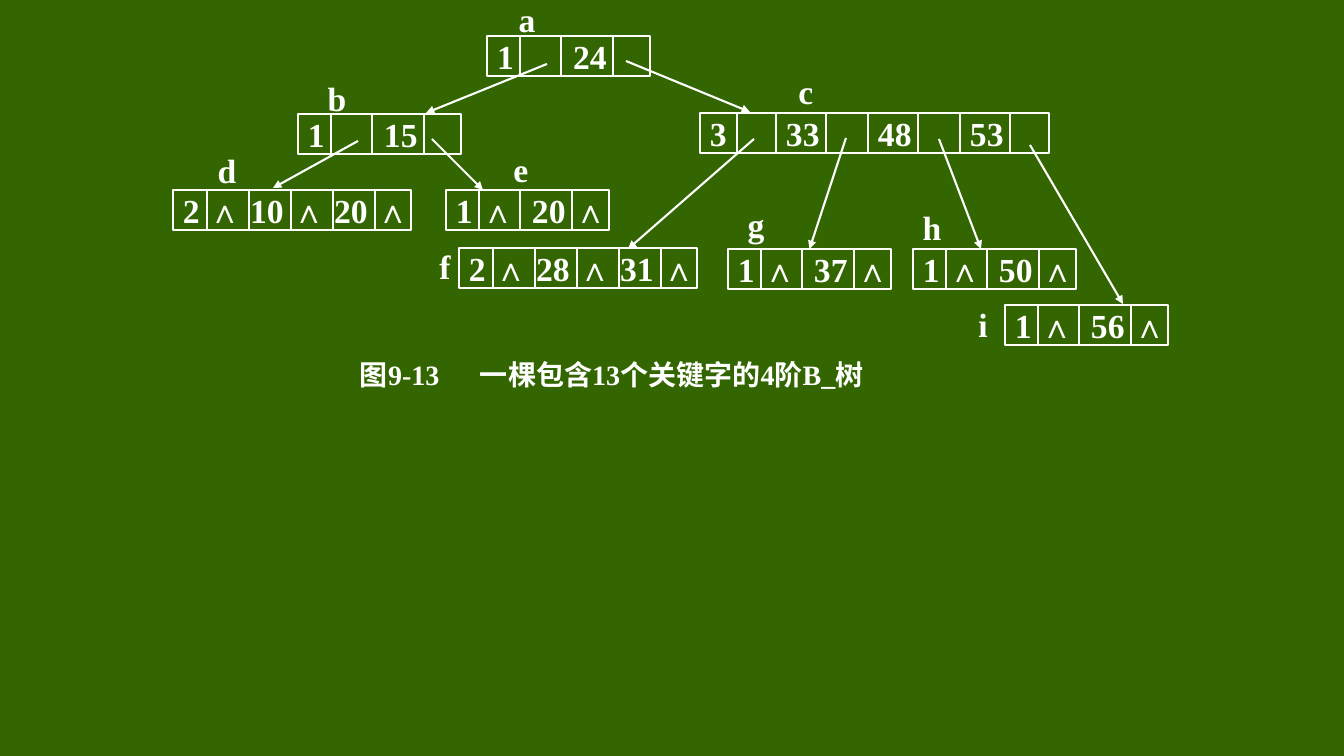
import dataclasses

import lxml.etree
import pptx
import pptx.dml.color
import pptx.enum.shapes
import pptx.enum.text
import pptx.oxml.ns
import pptx.util

EMU_PER_PX = 914400 / 100.8
ALIGN = pptx.enum.text.PP_ALIGN
MIDDLE = pptx.enum.text.MSO_ANCHOR.MIDDLE


@dataclasses.dataclass(frozen=True)
class Theme:
    background: str = "336600"
    ink: str = "FFFFFF"
    latin_font: str = "Times New Roman"
    chinese_font: str = "Noto Sans CJK SC"
    node_size: int = 24
    caption_size: int = 20
    line_width: float = 1.5


THEME = Theme()
NODE_HEIGHT = 40
LABEL_SIDE = 40
INSET = 10

# Node kinds: width, divider offsets and tab stops, in px from the node's left
# edge (dividers) or from the start of its text (tabs).
ONE_KEY = (163, (33, 74, 126), (76,))
TWO_KEYS = (238, tuple(range(34, 203, 42)), ())
THREE_KEYS = (349, (37, 76, 126, 168, 218, 260, 310), (76, 168, 260))

# Name: (left, top, kind, text, label left, label top)
NODES = {
    "a": (487, 36, ONE_KEY, "1\t24", 507, -1),
    "b": (298, 114, ONE_KEY, "1\t15", 317, 78),
    "c": (700, 113, THREE_KEYS, "3\t33\t48\t53", 786, 71),
    "d": (173, 190, TWO_KEYS, "2 ∧ 10 ∧ 20 ∧", 207, 150),
    "e": (446, 190, ONE_KEY, "1 ∧\t20 ∧", 501, 149),
    "f": (459, 248, TWO_KEYS, "2 ∧ 28 ∧ 31 ∧", 425, 246),
    "g": (728, 249, ONE_KEY, "1 ∧\t37 ∧", 736, 204),
    "h": (913, 249, ONE_KEY, "1 ∧\t50 ∧", 912, 207),
    "i": (1005, 305, ONE_KEY, "1 ∧\t56 ∧", 963, 304),
}
POINTERS = (
    ((547, 64), (426, 113)),
    ((626, 61), (750, 112)),
    ((358, 141), (273, 188)),
    ((432, 139), (483, 190)),
    ((754, 139), (628, 249)),
    ((939, 139), (981, 249)),
    ((1030, 145), (1123, 304)),
)
POINTER_TO_G = ((846, 138), (810, 249))


def px(value):
    return pptx.util.Emu(round(value * EMU_PER_PX))


def ink():
    return pptx.dml.color.RGBColor.from_string(THEME.ink)


def apply_format(target, values):
    for name, value in values.items():
        setattr(target, name, value)


def style_line(line):
    line.color.rgb = ink()
    line.width = pptx.util.Pt(THEME.line_width)


def write_text(shape, text, size, alignment=ALIGN.LEFT, inset=INSET, tabs=()):
    """Fill the shape with one line of text; tabs are px from the text's start."""
    apply_format(shape.text_frame, {
        "word_wrap": False if not inset else True,
        "vertical_anchor": MIDDLE,
        "margin_left": px(inset),
        "margin_right": 0,
        "margin_top": 0,
        "margin_bottom": 0,
    })
    paragraph = shape.text_frame.paragraphs[0]
    paragraph.alignment = alignment
    run = paragraph.add_run()
    run.text = text
    apply_format(run.font, {
        "name": THEME.latin_font,
        "size": pptx.util.Pt(size),
        "bold": True,
    })
    run.font.color.rgb = ink()
    if tabs:
        properties = paragraph._p.get_or_add_pPr()
        tab_list = lxml.etree.SubElement(properties, pptx.oxml.ns.qn("a:tabLst"))
        for position in tabs:
            lxml.etree.SubElement(tab_list, pptx.oxml.ns.qn("a:tab"),
                                  pos=str(px(position)), algn="l")
    return run


def add_line(slide, start, end):
    connector = slide.shapes.add_connector(
        pptx.enum.shapes.MSO_CONNECTOR.STRAIGHT,
        *(px(value) for value in (*start, *end)))
    style_line(connector.line)
    lxml.etree.SubElement(connector._element.spPr, pptx.oxml.ns.qn("a:effectLst"))
    return connector


def add_pointer(slide, start, end):
    connector = add_line(slide, start, end)
    lxml.etree.SubElement(connector.line._get_or_add_ln(),
                          pptx.oxml.ns.qn("a:tailEnd"), type="triangle")
    return connector


def add_label(slide, left, top, text):
    label = slide.shapes.add_textbox(px(left), px(top), px(LABEL_SIDE), px(LABEL_SIDE))
    write_text(label, text, THEME.node_size, ALIGN.CENTER, inset=0)


def add_node(slide, left, top, kind, text):
    width, dividers, tabs = kind
    node = slide.shapes.add_shape(pptx.enum.shapes.MSO_SHAPE.RECTANGLE,
                                  px(left), px(top), px(width), px(NODE_HEIGHT))
    node.shadow.inherit = False
    node.fill.background()
    style_line(node.line)
    write_text(node, text, THEME.node_size, tabs=tabs)
    for offset in dividers:
        add_line(slide, (left + offset, top), (left + offset, top + NODE_HEIGHT))
    return node


def add_caption(slide):
    caption = slide.shapes.add_textbox(px(350), px(354), px(560), px(40))
    run = write_text(caption, "图9-13\t一棵包含13个关键字的4阶B_树",
                     THEME.caption_size, tabs=(120,))
    latin = run.font._element.find(pptx.oxml.ns.qn("a:latin"))
    east_asian = lxml.etree.Element(pptx.oxml.ns.qn("a:ea"),
                                    typeface=THEME.chinese_font)
    latin.addnext(east_asian)


def main():
    presentation = pptx.Presentation()
    apply_format(presentation, {"slide_width": px(1344), "slide_height": px(756)})
    slide = presentation.slides.add_slide(presentation.slide_layouts[6])
    slide.background.fill.solid()
    slide.background.fill.fore_color.rgb = pptx.dml.color.RGBColor.from_string(
        THEME.background)

    boxes = {}
    for name, (left, top, kind, text, label_left, label_top) in NODES.items():
        add_label(slide, label_left, label_top, name)
        boxes[name] = add_node(slide, left, top, kind, text)
    for start, end in POINTERS:
        add_pointer(slide, start, end)
    add_pointer(slide, *POINTER_TO_G).end_connect(boxes["g"], 0)
    add_caption(slide)
    presentation.save("out.pptx")


if __name__ == "__main__":
    main()
